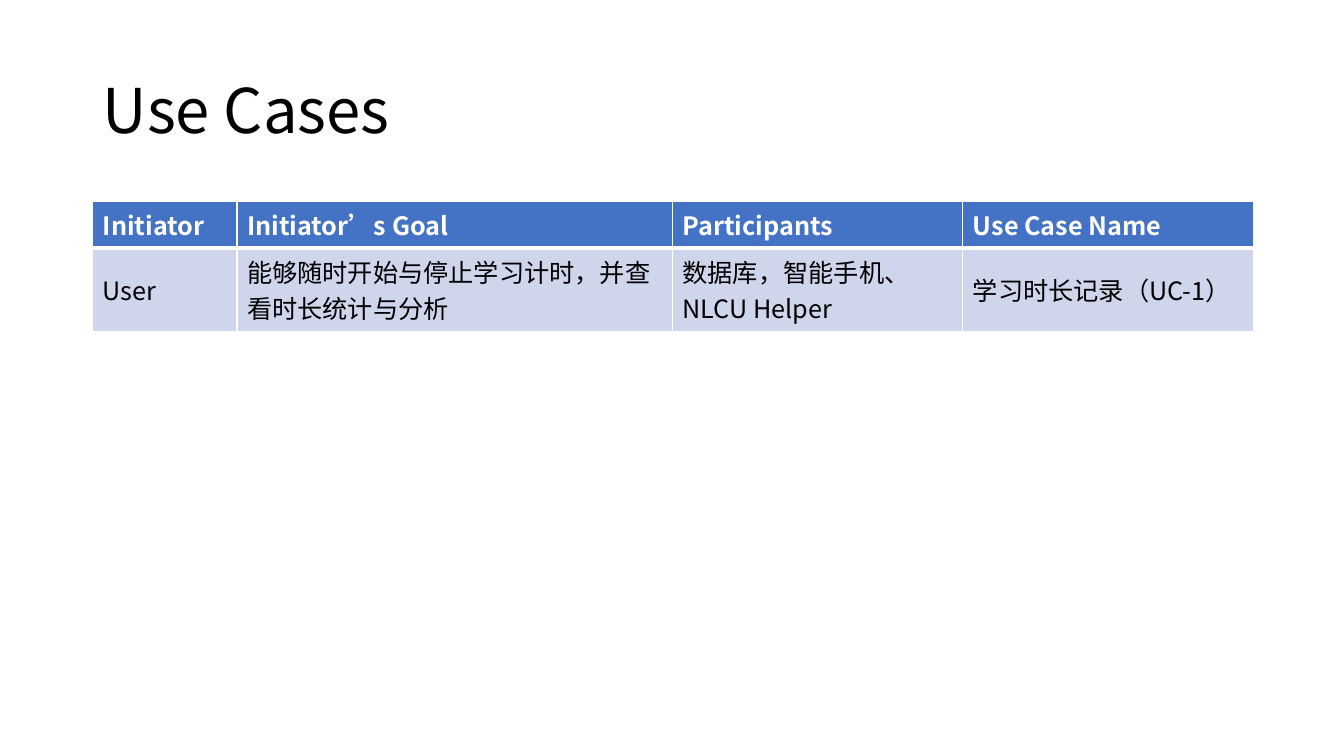
from lxml.etree import SubElement
from pptx import Presentation
from pptx.dml.color import RGBColor
from pptx.enum.text import MSO_ANCHOR, PP_ALIGN
from pptx.oxml.ns import qn
from pptx.util import Inches, Pt

BLACK = RGBColor(0x00, 0x00, 0x00)
WHITE = RGBColor(0xFF, 0xFF, 0xFF)
HEADER_BLUE = RGBColor(0x44, 0x72, 0xC4)
ROW_BLUE = RGBColor(0xCF, 0xD5, 0xEA)

USE_CASES = [
    ["Initiator", "Initiator’s Goal", "Participants", "Use Case Name"],
    [
        "User",
        "能够随时开始与停止学习计时，并查看时长统计与分析",
        "数据库，智能手机、NLCU Helper",
        "学习时长记录（UC-1）",
    ],
]
COLUMN_WIDTHS = [1.43, 4.32, 2.88, 2.88]
ROW_HEIGHT = 0.41
PARTICIPANTS_COLUMN = 2


class SlideBuilder:
    font_name = "Noto Sans CJK SC"

    def __init__(self, slide):
        self.slide = slide

    def style(self, paragraph, size, color, bold=False):
        font = paragraph.font
        font.name = self.font_name
        font.size = Pt(size)
        font.bold = bold
        font.color.rgb = color
        properties = paragraph._p.pPr.find(qn("a:defRPr"))
        SubElement(properties, qn("a:ea"), typeface=self.font_name)

    def title(self, text, left, top, width, height):
        heading = self.slide.shapes.title
        heading.left, heading.top = Inches(left), Inches(top)
        heading.width, heading.height = Inches(width), Inches(height)
        frame = heading.text_frame
        frame.text = text
        frame.word_wrap = True
        frame.vertical_anchor = MSO_ANCHOR.MIDDLE
        paragraph = frame.paragraphs[0]
        paragraph.alignment = PP_ALIGN.LEFT
        paragraph.line_spacing = 0.9
        self.style(paragraph, 44, BLACK)

    def borders(self, cell, bottom_width):
        properties = cell._tc.get_or_add_tcPr()
        widths = {"L": 1, "R": 1, "T": 1, "B": bottom_width}
        for position, (side, width) in enumerate(widths.items()):
            line = SubElement(properties, qn(f"a:ln{side}"), w=str(Pt(width)))
            fill = SubElement(line, qn("a:solidFill"))
            SubElement(fill, qn("a:srgbClr"), val=str(WHITE))
            properties.insert(position, line)

    def table(self, rows, left, top, column_widths, row_height):
        table = self.slide.shapes.add_table(
            len(rows), len(column_widths), Inches(left), Inches(top),
            Inches(sum(column_widths)), Inches(row_height * len(rows)),
        ).table
        for column, width in zip(table.columns, column_widths):
            column.width = Inches(width)
        for row_index, texts in enumerate(rows):
            is_header = row_index == 0
            table.rows[row_index].height = Inches(row_height)
            for column_index, text in enumerate(texts):
                cell = table.cell(row_index, column_index)
                cell.text = text
                top_anchored = is_header or column_index == PARTICIPANTS_COLUMN
                cell.vertical_anchor = MSO_ANCHOR.TOP if top_anchored else MSO_ANCHOR.MIDDLE
                cell.fill.solid()
                cell.fill.fore_color.rgb = HEADER_BLUE if is_header else ROW_BLUE
                self.borders(cell, 3 if is_header else 1)
                color = WHITE if is_header else BLACK
                self.style(cell.text_frame.paragraphs[0], 18, color, is_header)


def main():
    presentation = Presentation()
    presentation.slide_width = Inches(13.33)
    presentation.slide_height = Inches(7.5)
    title_only = presentation.slide_layouts[5]
    builder = SlideBuilder(presentation.slides.add_slide(title_only))
    builder.title("Use Cases", 0.92, 0.4, 11.5, 1.45)
    builder.table(USE_CASES, 0.92, 2, COLUMN_WIDTHS, ROW_HEIGHT)
    presentation.save("out.pptx")


if __name__ == "__main__":
    main()
